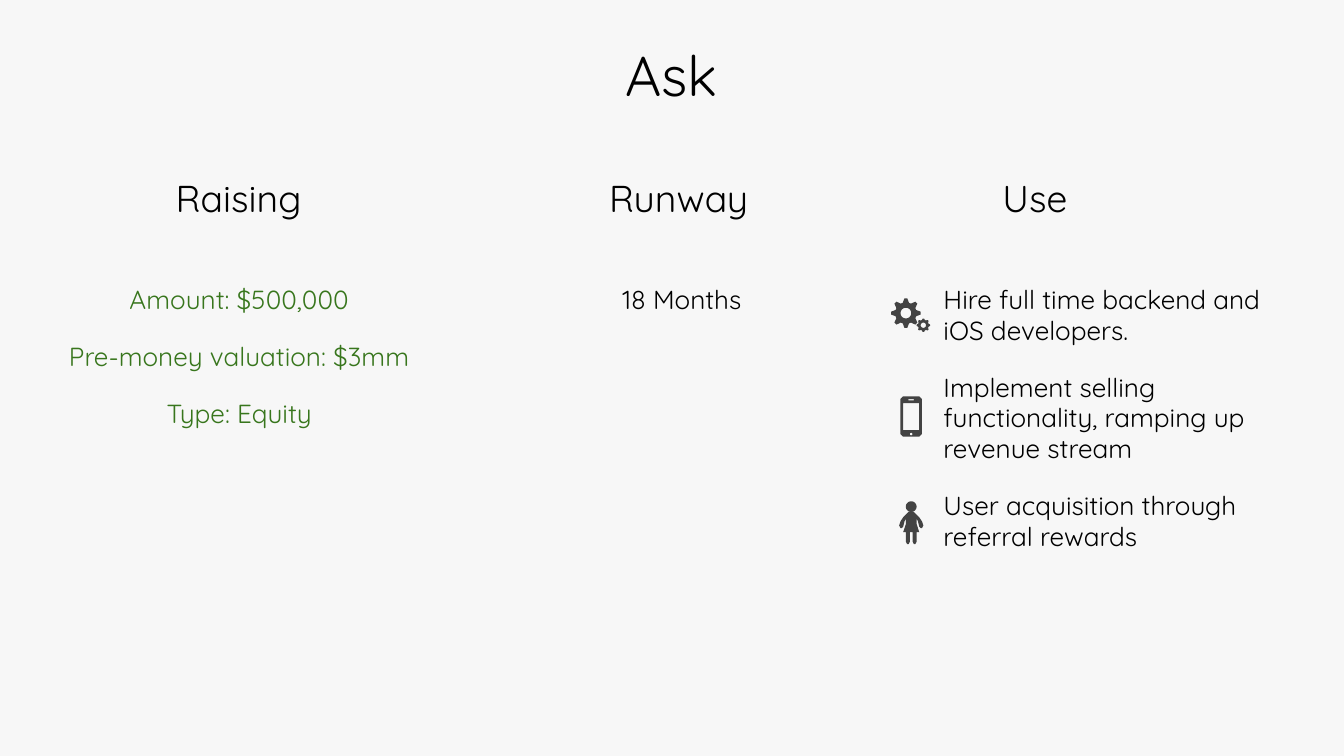
import math

import pptx
import pptx.dml.color
import pptx.enum.text
import pptx.util

Inches = pptx.util.Inches
Pt = pptx.util.Pt
color = pptx.dml.color.RGBColor.from_string

deck = pptx.Presentation()
deck.slide_width = Inches(10)
deck.slide_height = Inches(10) * 9 // 16
page = deck.slides.add_slide(deck.slide_layouts[6])
page.background.fill.solid()
page.background.fill.fore_color.rgb = color("F7F7F7")


def add_text(lines, left, top, width, height, size=14, ink="000000",
             align="CENTER", inset=0, inset_top=0.01, spacing=0.98):
    box = page.shapes.add_textbox(Inches(left), Inches(top), Inches(width), Inches(height))
    frame = box.text_frame
    frame.word_wrap = True
    frame.margin_left = frame.margin_right = frame.margin_bottom = Inches(inset)
    frame.margin_top = Inches(inset_top)
    for index, line in enumerate(lines):
        para = frame.paragraphs[0] if index == 0 else frame.add_paragraph()
        para.alignment = getattr(pptx.enum.text.PP_ALIGN, align)
        para.line_spacing = spacing
        para.space_before = Pt(14 if index else 0)
        span = para.add_run()
        span.text = line
        span.font.name = "Quicksand"
        span.font.size = Pt(size)
        span.font.color.rgb = color(ink)


def ring(center_x, center_y, radii):
    step = 2 * math.pi / len(radii)
    return [(center_x + radius * math.cos((index + 0.5) * step),
             center_y + radius * math.sin((index + 0.5) * step))
            for index, radius in enumerate(radii)]


add_text(["Ask"], 3.86, 0.2, 2.27, 0.84, size=30, inset=0.1, inset_top=0.1, spacing=1.0)

for heading, left, width, height in [("Raising", 1.12, 1.31, 0.8),
                                     ("Runway", 4.31, 1.48, 0.46),
                                     ("Use", 7.34, 0.72, 0.46)]:
    add_text([heading], left, 1.31, width, height, size=20)

add_text(["Amount: $500,000", "Pre-money valuation: $3mm", "Type: Equity"],
         0.39, 2.11, 2.78, 1.94, ink="38761D")
add_text(["18 Months"], 4.56, 2.11, 1.03, 0.36)
add_text(["Hire full time backend and iOS developers.",
          "Implement selling functionality, ramping up revenue stream",
          "User acquisition through referral rewards"],
         7.02, 2.11, 2.45, 2.3, align="LEFT")

gears = []
for center_x, center_y, outer, inner, hole in [(6.74, 2.33, 0.11, 0.08, 0.04),
                                               (6.87, 2.42, 0.05, 0.04, 0.02)]:
    gears.append(ring(center_x, center_y, [outer, inner, inner, outer] * 8))
    gears.append(ring(center_x, center_y, [hole] * 24))

phone = [
    [(6.72, 2.95), (6.84, 2.95), (6.86, 2.97), (6.86, 3.23),
     (6.84, 3.25), (6.72, 3.25), (6.7, 3.23), (6.7, 2.97)],
    [(6.72, 3), (6.84, 3), (6.84, 3.2), (6.72, 3.2)],
    [(6.76, 2.97), (6.8, 2.97), (6.8, 2.98), (6.76, 2.98)],
    ring(6.78, 3.23, [0.01] * 16),
]

half_body = [(0.02, 3.81), (0.03, 3.82), (0.06, 3.85), (0.08, 3.88), (0.09, 3.91),
             (0.08, 3.93), (0.07, 3.93), (0.06, 3.92), (0.05, 3.88), (0.04, 3.86),
             (0.04, 3.9), (0.06, 3.96), (0.04, 3.96), (0.04, 4.03), (0.03, 4.05),
             (0.02, 4.05), (0.01, 4.03), (0.01, 3.96)]
person_body = [[(6.78 + x, y) for x, y in half_body]
               + [(6.78 - x, y) for x, y in reversed(half_body)]]
person_head = [ring(6.78, 3.77, [0.04] * 24)]

icons = []
for contours in [person_body, person_head, gears, phone]:
    builder = None
    for contour in contours:
        points = [(Inches(x), Inches(y)) for x, y in contour]
        if builder is None:
            builder = page.shapes.build_freeform(*points[0])
        else:
            builder.move_to(*points[0])
        builder.add_line_segments(points[1:], close=True)
    icon = builder.convert_to_shape()
    icon.shadow.inherit = False
    icon.fill.solid()
    icon.fill.fore_color.rgb = color("434343")
    icon.line.fill.background()
    icons.append(icon)
page.shapes.add_group_shape(shapes=icons[:2])

deck.save("out.pptx")
